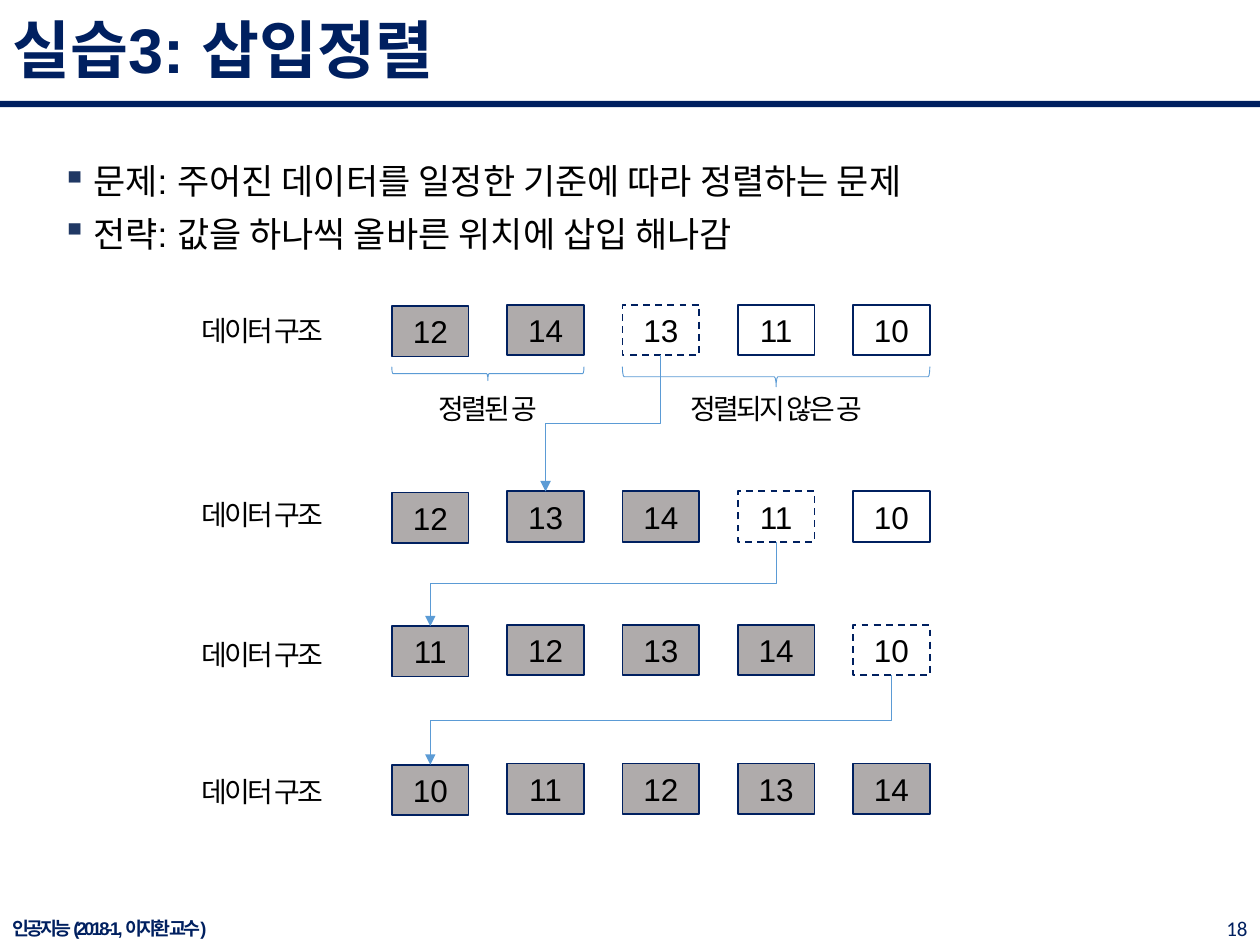
"""Build the insertion sort slide: five cells over four passes."""
from pptx import Presentation
from pptx.dml.color import RGBColor
from pptx.enum.dml import MSO_LINE
from pptx.enum.shapes import MSO_CONNECTOR as Link, MSO_SHAPE as Kind
from pptx.enum.text import MSO_ANCHOR as Anchor, PP_ALIGN as Align
from pptx.oxml.ns import qn
from pptx.util import Inches, Pt
from lxml.etree import SubElement

NAVY = RGBColor(0x00, 0x20, 0x60)
GRAY = RGBColor(0xAF, 0xAB, 0xAB)
BLUE = RGBColor(0x5B, 0x9B, 0xD5)
BLACK = RGBColor(0, 0, 0)

TITLE = "실습3: 삽입정렬"
POINTS = [
    "문제: 주어진 데이터를 일정한 기준에 따라 정렬하는 문제",
    "전략: 값을 하나씩 올바른 위치에 삽입 해나감",
]
FOOT, PAGE = "인공지능 (2018-1, 이지환 교수)", "18"
LABEL = "데이터 구조"
PASSES = [
    {"top": 2.42, "label": 2.44, "done": 2, "cells": [12, 14, 13, 11, 10]},
    {"top": 3.9, "label": 3.9, "done": 3, "cells": [12, 13, 14, 11, 10]},
    {"top": 4.96, "label": 5.01, "done": 4, "cells": [11, 12, 13, 14, 10]},
    {"top": 6.06, "label": 6.1, "done": 5, "cells": [10, 11, 12, 13, 14]},
]
GROUPS = [
    {"text": "정렬된 공", "first": 0, "last": 1, "deep": 0.11, "wide": 1.41},
    {"text": "정렬되지 않은 공", "first": 2, "last": 4, "deep": 0.16, "wide": 2.64},
]
LEFT, STEP, WIDE, HIGH, DROP = 3.11, 0.915, 0.61, 0.4, 0.01

deck = Presentation()
deck.slide_width, deck.slide_height = Inches(10), Inches(7.5)
slide = deck.slides.add_slide(deck.slide_layouts[6])
shapes = slide.shapes


def style(para, size, name="Arial", color=BLACK, bold=False, align=None, tight=False):
    para.alignment = align
    font = para.font
    font.size, font.name, font.bold = Pt(size), name, bold
    font.color.rgb = color
    if tight:
        for run in para.runs:
            run.font.size = Pt(size)
            run._r.get_or_add_rPr().set("spc", "-150")


def write(text, box, size, anchor=Anchor.MIDDLE, **look):
    frame = shapes.add_textbox(*map(Inches, box)).text_frame
    frame.word_wrap, frame.vertical_anchor = True, anchor
    frame.text = text
    for para in frame.paragraphs:
        style(para, size, **look)
    return frame


def draw(kind, box, fill=None, line=None, width=1):
    shape = shapes.add_shape(kind, *map(Inches, box))
    shape.shadow.inherit = False
    if fill is None:
        shape.fill.background()
    else:
        shape.fill.solid()
        shape.fill.fore_color.rgb = fill
    if line is None:
        shape.line.fill.background()
    else:
        shape.line.color.rgb, shape.line.width = line, Pt(width)
    return shape


def spot(row, col):
    return LEFT + col * STEP, row["top"] + (DROP if col == 0 else 0)


def cell(row, col):
    done = row["done"]
    shape = draw(Kind.RECTANGLE, (*spot(row, col), WIDE, HIGH),
                 GRAY if col < done else None, NAVY)
    if col == done:
        shape.line.dash_style = MSO_LINE.DASH
    frame = shape.text_frame
    frame.vertical_anchor = Anchor.MIDDLE
    frame.text = str(row["cells"][col])
    style(frame.paragraphs[0], 18, align=Align.CENTER)


def label(text, mid, top, wide=1.41):
    write(text, (mid - wide / 2, top, wide, 0.37), 16, Anchor.TOP,
          name="Calibri", align=Align.CENTER, tight=True)


def brace(group):
    start = spot(PASSES[0], group["first"])[0]
    end = spot(PASSES[0], group["last"])[0] + WIDE
    mid, span, deep = (start + end) / 2, end - start, group["deep"]
    shape = draw(Kind.LEFT_BRACE,
                 (mid - deep / 2, 2.91 + deep / 2 - span / 2, deep, span),
                 line=BLUE, width=0.5)
    shape.rotation = 270
    label(group["text"], mid, 3.06, group["wide"])


def arrow(row, after):
    x1, y1 = spot(row, row["done"])
    x2, y2 = spot(after, after["cells"].index(row["cells"][row["done"]]))
    y1 += HIGH
    mid_x, mid_y = (x1 + x2 + WIDE) / 2, (y1 + y2) / 2
    half_w, half_h = (y2 - y1) / 2, (x1 - x2) / 2
    ends = mid_x - half_w, mid_y - half_h, mid_x + half_w, mid_y + half_h
    link = shapes.add_connector(Link.ELBOW, *map(Inches, ends))
    link.line.color.rgb, link.line.width = BLUE, Pt(0.5)
    props = link._element.spPr
    props.find(qn("a:xfrm")).set("rot", str(90 * 60000))
    SubElement(props.find(qn("a:ln")), qn("a:tailEnd"), type="triangle")
    SubElement(props, qn("a:effectLst"))


def bullet(para):
    props = para._p.get_or_add_pPr()
    props.set("marL", str(Inches(0.25)))
    props.set("indent", str(-Inches(0.25)))
    tint = SubElement(props, qn("a:buClr"))
    SubElement(tint, qn("a:srgbClr"), val="203864")
    SubElement(props, qn("a:buChar"), char="▪")
    para.space_after = Pt(6)


draw(Kind.RECTANGLE, (0, 0.8, 10, 0.05), NAVY)
write(PAGE, (7.75, 7.24, 2.25, 0.26), 12, name="Calibri", color=NAVY, align=Align.RIGHT)
write(FOOT, (0, 7.24, 3.38, 0.26), 10.5, color=NAVY, bold=True,
      align=Align.JUSTIFY, tight=True)
head = write(TITLE, (0, 0, 10, 0.85), 36, color=NAVY, bold=True)
head.paragraphs[0].line_spacing = 0.9
body = write("\n".join(POINTS), (0.39, 1.22, 9.26, 5.54), 20, Anchor.TOP)
for para in body.paragraphs:
    bullet(para)

for row in PASSES:
    label(LABEL, 2.08, row["label"])
    for col in range(len(row["cells"])):
        cell(row, col)
for group in GROUPS:
    brace(group)
for row, after in zip(PASSES, PASSES[1:]):
    arrow(row, after)

deck.save("out.pptx")
